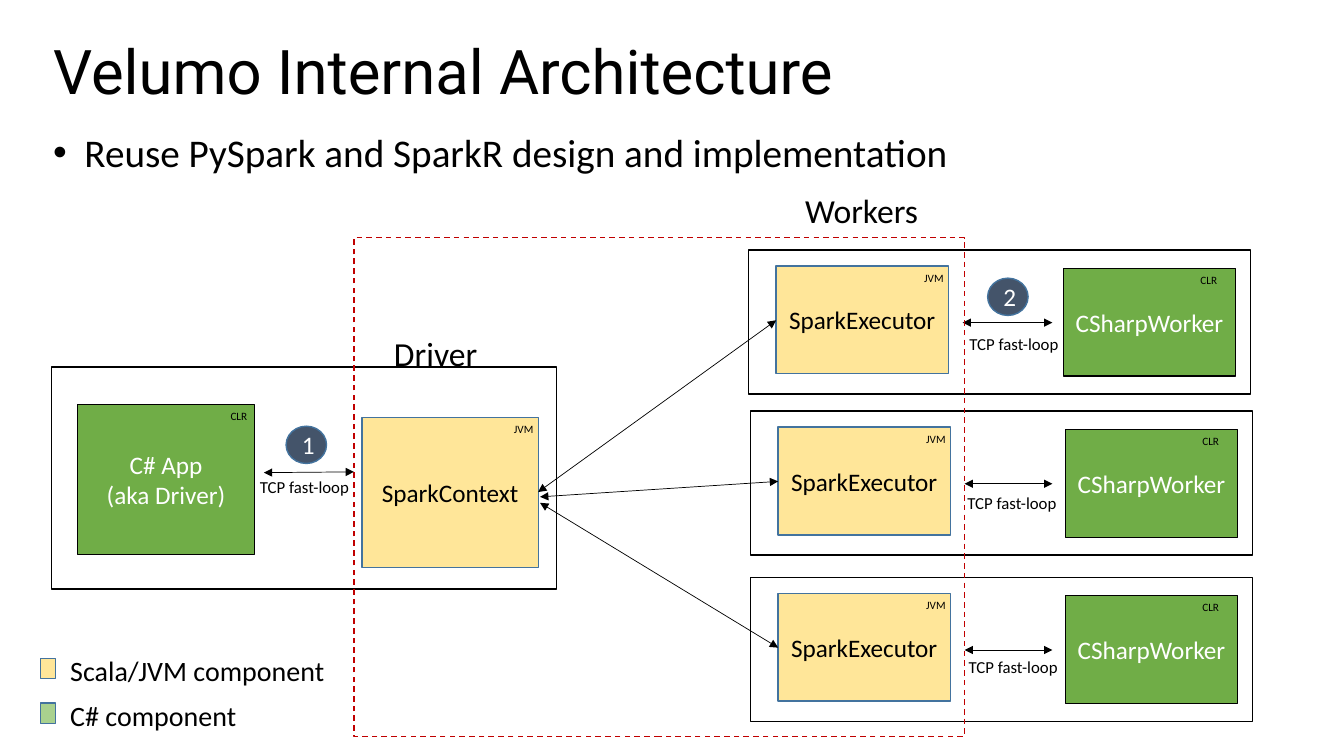
"""Build the Velumo internal architecture slide."""
from lxml import etree
from pptx import Presentation
from pptx.dml.color import RGBColor
from pptx.enum.dml import MSO_LINE
from pptx.enum.shapes import MSO_CONNECTOR, MSO_SHAPE
from pptx.enum.text import MSO_ANCHOR, PP_ALIGN
from pptx.oxml.ns import qn
from pptx.util import Cm, Pt

RECTANGLE, OVAL = MSO_SHAPE.RECTANGLE, MSO_SHAPE.OVAL
STRAIGHT, DASH = MSO_CONNECTOR.STRAIGHT, MSO_LINE.DASH
LEFT, CENTER = PP_ALIGN.LEFT, PP_ALIGN.CENTER
TOP, MIDDLE = MSO_ANCHOR.TOP, MSO_ANCHOR.MIDDLE
BLACK, WHITE, NAVY, BLUE = "000000", "FFFFFF", "44546A", "43739E"
GREEN, LIGHT_GREEN, YELLOW, RED = "70AD47", "A9D18E", "FFE699", "C00000"
FRAME = {"fill": WHITE, "line": BLACK}
CLR_BOX = {"fill": GREEN, "line": BLACK, "color": WHITE}
JVM_BOX = {"fill": YELLOW, "line": BLUE}
BADGE = {"fill": NAVY, "line": BLUE, "color": WHITE, "kind": OVAL}


def add_box(left, top, width, height, text="", size=18, color=BLACK, fill=None,
            line=None, kind=RECTANGLE, font="Calibri", wrap=True, anchor=MIDDLE):
    """Add a preset shape, or a text box when kind is None; lengths in cm."""
    place = [Cm(value) for value in (left, top, width, height)]
    if kind is None:
        shape = slide.shapes.add_textbox(*place)
    else:
        shape = slide.shapes.add_shape(kind, *place)
        shape.shadow.inherit = False
        shape.fill.background()
        if fill:
            shape.fill.solid()
            shape.fill.fore_color.rgb = RGBColor.from_string(fill)
        shape.line.color.rgb = RGBColor.from_string(line)
        shape.line.width = Pt(1)
    frame = shape.text_frame
    frame.text = text
    frame.word_wrap = wrap
    frame.vertical_anchor = anchor
    for paragraph in frame.paragraphs:
        paragraph.alignment = LEFT if kind is None else CENTER
        paragraph.font.color.rgb = RGBColor.from_string(color)
        for name, value in {"name": font, "size": Pt(size)}.items():
            setattr(paragraph.font, name, value)
    return shape


def add_arrow(*ends):
    """Add a thin line with an arrowhead at each end; ends in cm."""
    arrow = slide.shapes.add_connector(STRAIGHT, *[Cm(value) for value in ends])
    arrow.line.color.rgb = RGBColor.from_string(BLACK)
    arrow.line.width = Pt(0.5)
    outline = arrow.line._get_or_add_ln()
    for tag in ("a:headEnd", "a:tailEnd"):
        etree.SubElement(outline, qn(tag), type="triangle")
    etree.SubElement(arrow._element.spPr, qn("a:effectLst"))


presentation = Presentation()
presentation.slide_width, presentation.slide_height = Cm(33.87), Cm(19.05)
slide = presentation.slides.add_slide(presentation.slide_layouts[6])

title = add_box(1.09, 0.05, 29.21, 3.68, "Velumo Internal Architecture", 44,
                kind=None, font="Roboto")
title.text_frame.paragraphs[0].line_spacing = 0.9
summary = add_box(1.09, 3.12, 30.07, 1.45,
                  "Reuse PySpark and SparkR design and implementation", 28,
                  kind=None, anchor=TOP)
bullet = summary.text_frame.paragraphs[0]._p.get_or_add_pPr()
for name, value in {"marL": Cm(0.79), "indent": -Cm(0.79)}.items():
    bullet.set(name, str(int(value)))
bullet_font = etree.Element(qn("a:buFont"), typeface="Arial")
bullet_mark = etree.Element(qn("a:buChar"), char="•")
bullet.insert(0, bullet_font)
bullet.insert(1, bullet_mark)

add_box(1.3, 9.25, 12.73, 5.59, **FRAME)
add_box(1.96, 10.19, 4.45, 3.78, "C# App\n(aka Driver)", **CLR_BOX)
add_box(9.12, 10.52, 4.45, 3.78, "SparkContext", **JVM_BOX)
add_arrow(6.65, 11.91, 8.92, 11.89)

tags = [(5.56, 10.19, "CLR"), (12.7, 10.52, "JVM")]
link_labels = [(6.3, 11.89)]
worker_rows = [
    (18.87, 6.3, 24.18, 8.28, (13.56, 12.4)),
    (18.92, 10.36, 24.13, 12.29, (13.61, 12.52)),
    (18.92, 14.55, 24.16, 16.43, (13.61, 12.67)),
]
for left, top, label_left, label_top, context_end in worker_rows:
    add_box(left, top, 12.65, 3.63, **FRAME)
    add_box(left + 0.69, top + 0.4, 4.34, 2.72, "SparkExecutor", **JVM_BOX)
    add_box(left + 7.93, top + 0.46, 4.34, 2.72, "CSharpWorker", **CLR_BOX)
    add_arrow(left + 5.39, top + 1.83, 26.52, top + 1.83)
    add_arrow(*context_end, left + 0.69, top + 1.77)
    tags += [(left + 4.17, top + 0.4, "JVM"), (left + 11.13, top + 0.46, "CLR")]
    link_labels.append((label_left, label_top))

for left, top, name in tags:
    add_box(left, top, 1.2, 0.53, name, 8, kind=None, anchor=TOP)
for left, top, width, name in [(20.04, 4.65, 3.4, "Workers"), (9.68, 8.26, 2.64, "Driver")]:
    add_box(left, top, width, 1.14, name, 24, kind=None, wrap=False, anchor=TOP)

jvm_area = add_box(8.92, 5.99, 15.39, 12.57, line=RED)
jvm_area.line.dash_style = DASH

for left, top in link_labels:
    add_box(left, top, 3.07, 0.76, "TCP fast-loop", 12, kind=None, anchor=TOP)
for left, top, number in [(7.21, 10.74, "1"), (24.89, 7.01, "2")]:
    add_box(left, top, 1.02, 0.94, number, **BADGE)

legend = [(YELLOW, 6.99, "Scala/JVM component"), (LIGHT_GREEN, 4.72, "C# component")]
for row, (fill, width, name) in enumerate(legend):
    top = 16.59 + 1.13 * row
    add_box(1.02, top, 0.38, 0.51, fill=fill, line=BLUE)
    add_box(1.52, top - 0.25, width, 1.12, name, 20, kind=None, wrap=False, anchor=TOP)

presentation.save("out.pptx")
